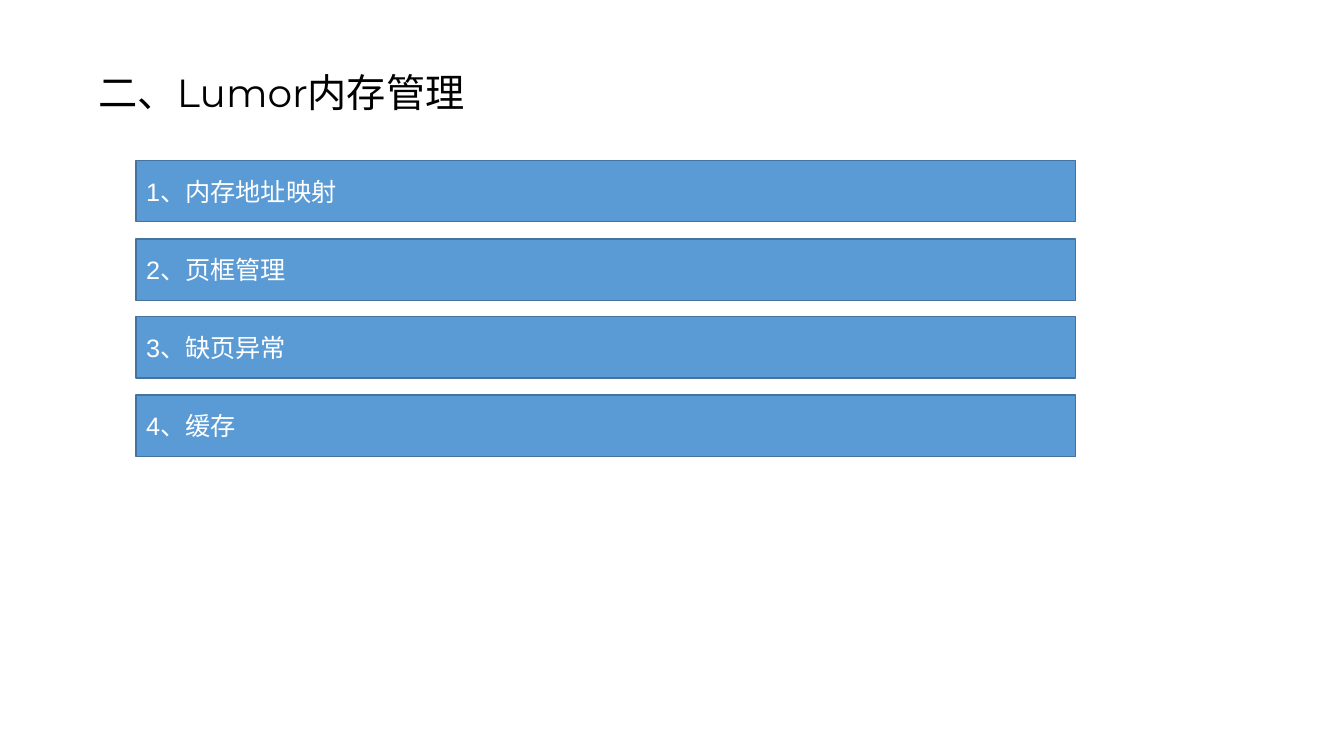
from dataclasses import dataclass

from pptx import Presentation
from pptx.dml.color import RGBColor
from pptx.enum.shapes import MSO_SHAPE
from pptx.enum.text import MSO_ANCHOR, PP_ALIGN
from pptx.util import Inches, Pt


@dataclass(frozen=True)
class Theme:
    background: RGBColor = RGBColor(0xFF, 0xFF, 0xFF)
    title: RGBColor = RGBColor(0x00, 0x00, 0x00)
    bar: RGBColor = RGBColor(0x5B, 0x9B, 0xD5)
    border: RGBColor = RGBColor(0x43, 0x73, 0x9E)
    bar_text: RGBColor = RGBColor(0xFF, 0xFF, 0xFF)
    title_font: str = "Montserrat"
    bar_font: str = "Arial"
    title_size: int = 28
    bar_size: int = 18


THEME = Theme()
TOPICS = ["内存地址映射", "页框管理", "缺页异常", "缓存"]
BAR_LEFT, BAR_TOP, BAR_WIDTH, BAR_HEIGHT = 1.35, 1.59, 9.32, 0.61
BAR_PITCH = 0.775


def write_text(sp, text, font, size, color, anchor):
    tf = sp.text_frame
    tf.word_wrap = True
    tf.vertical_anchor = anchor
    p = tf.paragraphs[0]
    p.alignment = PP_ALIGN.LEFT
    r = p.add_run()
    r.text = text
    r.font.name = font
    r.font.size = Pt(size)
    r.font.color.rgb = color
    return p


def add_title(s, text):
    sp = s.shapes.add_textbox(Inches(0.88), Inches(0.28), Inches(9.99), Inches(0.91))
    p = write_text(sp, text, THEME.title_font, THEME.title_size, THEME.title,
                   MSO_ANCHOR.BOTTOM)
    p.line_spacing = 1.3


def add_topic_bar(s, index, topic):
    sp = s.shapes.add_shape(
        MSO_SHAPE.RECTANGLE,
        Inches(BAR_LEFT), Inches(round(BAR_TOP + index * BAR_PITCH, 2)),
        Inches(BAR_WIDTH), Inches(BAR_HEIGHT))
    sp.shadow.inherit = False
    sp.fill.solid()
    sp.fill.fore_color.rgb = THEME.bar
    sp.line.color.rgb = THEME.border
    sp.line.width = Pt(1)
    write_text(sp, f"{index + 1}、{topic}", THEME.bar_font, THEME.bar_size,
               THEME.bar_text, MSO_ANCHOR.MIDDLE)


def main():
    prs = Presentation()
    prs.slide_width = Inches(13.33)
    prs.slide_height = Inches(7.5)
    s = prs.slides.add_slide(prs.slide_layouts[6])
    s.background.fill.solid()
    s.background.fill.fore_color.rgb = THEME.background
    add_title(s, "二、Lumor内存管理")
    for index, topic in enumerate(TOPICS):
        add_topic_bar(s, index, topic)
    prs.save("out.pptx")


if __name__ == "__main__":
    main()
